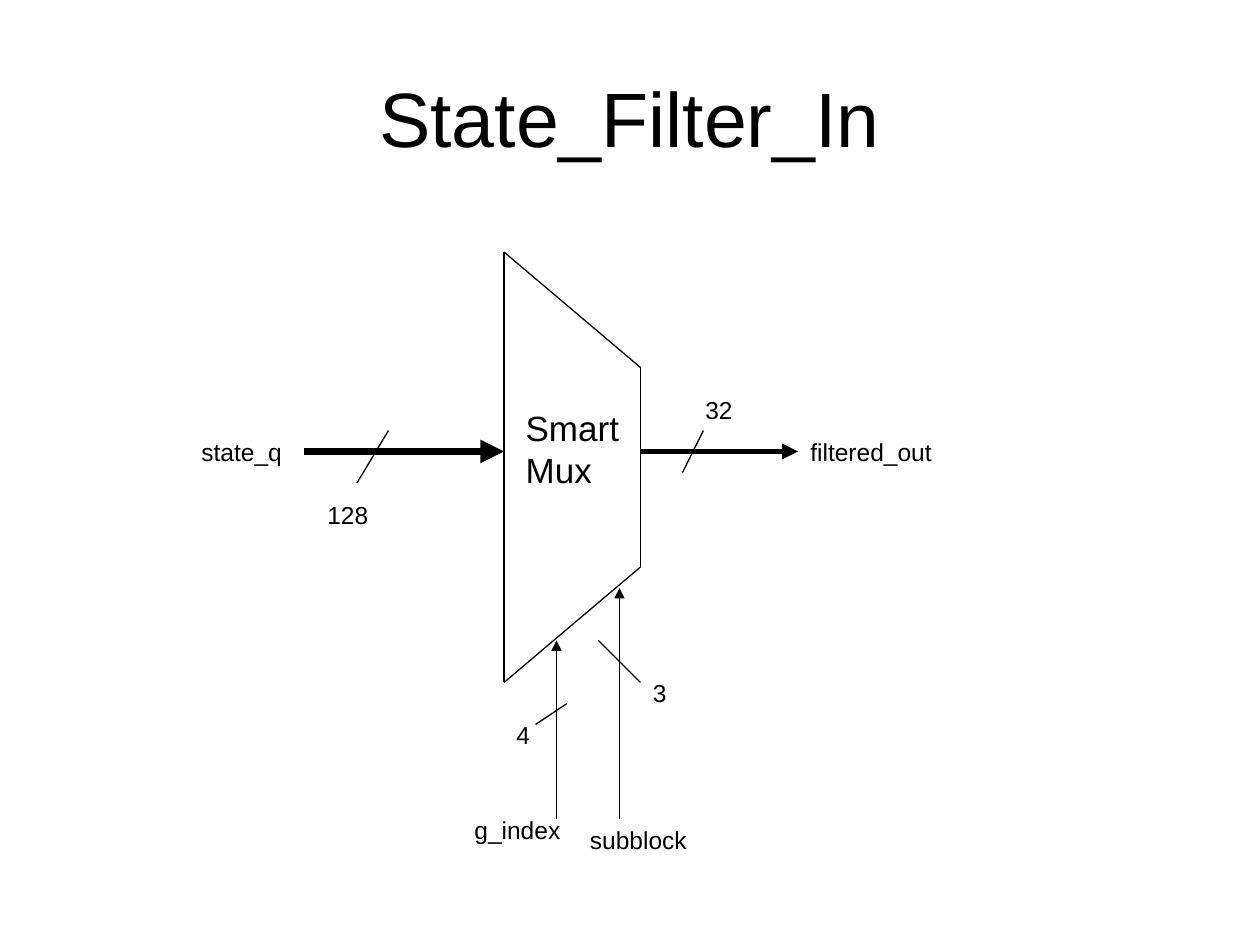
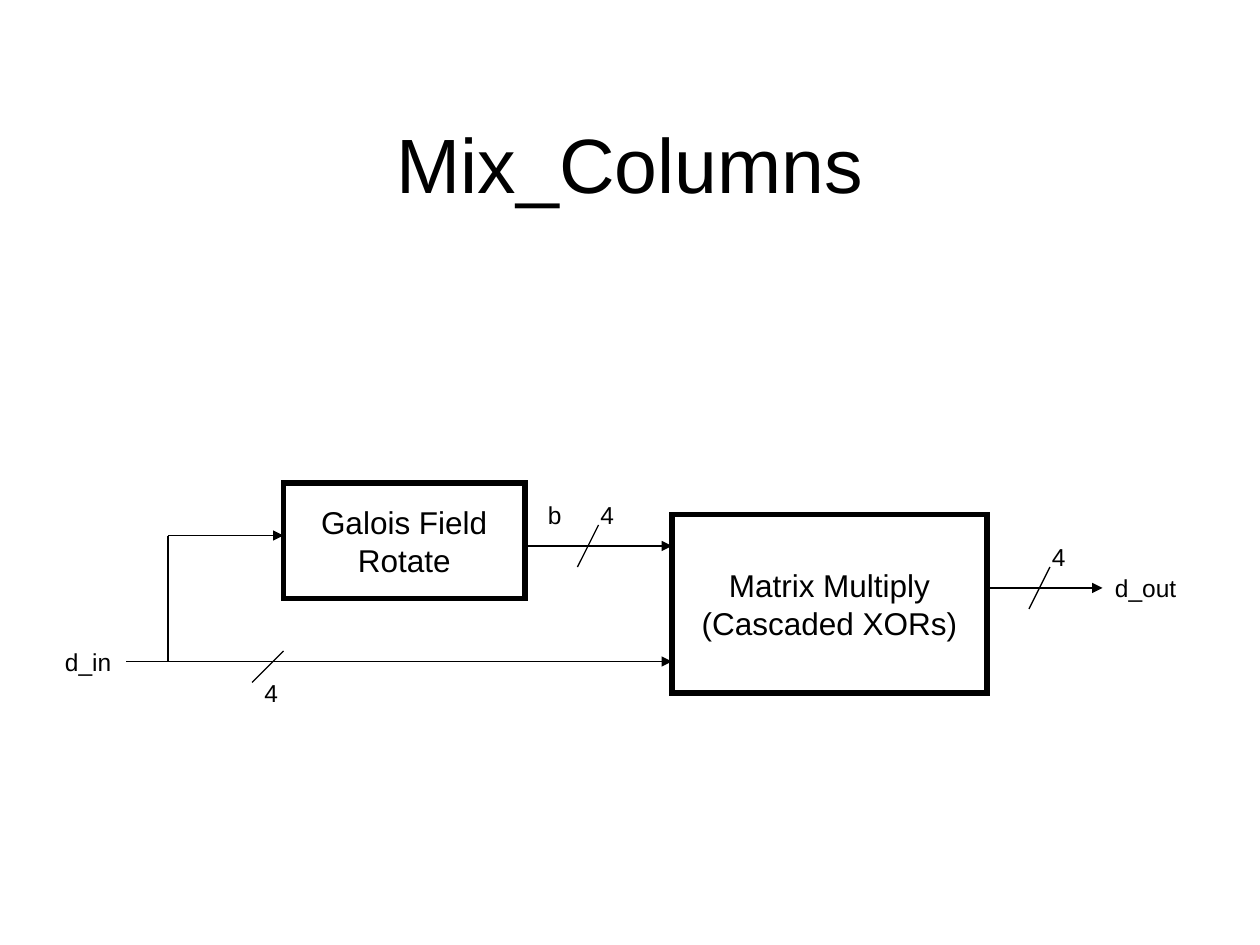
from dataclasses import dataclass

from lxml.etree import SubElement
from pptx import Presentation
from pptx.dml.color import RGBColor
from pptx.enum.shapes import MSO_CONNECTOR as Conn, MSO_SHAPE as Shape
from pptx.enum.text import MSO_ANCHOR as Anchor, PP_ALIGN as Align
from pptx.oxml.ns import qn
from pptx.slide import Slide
from pptx.text.text import TextFrame
from pptx.util import Emu, Pt

EMU_PER_PX = 9525
BLACK, WHITE = "000000", "FFFFFF"
FONT = "Arial"
THIN, BOLD, HEAVY = 0.75, 3, 4.5
LABEL_H = 33


@dataclass(frozen=True)
class Wire:
    x1: int
    y1: int
    x2: int
    y2: int
    width: float = THIN
    arrow: bool = False


@dataclass(frozen=True)
class Label:
    text: str
    x: int
    y: int
    w: int
    h: int = LABEL_H
    size: int = 14
    align: Align = Align.LEFT
    anchor: Anchor = Anchor.TOP


@dataclass(frozen=True)
class Block:
    text: str
    x: int
    y: int
    w: int
    h: int


@dataclass(frozen=True)
class Diagram:
    title: str
    title_y: int
    blocks: list[Block]
    wires: list[Wire]
    labels: list[Label]


def px(n: int) -> Emu:
    return Emu(n * EMU_PER_PX)


def rgb(code: str) -> RGBColor:
    return RGBColor.from_string(code)


def write(tf: TextFrame, text: str, size: int, align: Align,
          anchor: Anchor, wrap: bool) -> None:
    tf.text = text
    for name, value in {"word_wrap": wrap, "vertical_anchor": anchor}.items():
        setattr(tf, name, value)
    for p in tf.paragraphs:
        p.alignment = align
        for r in p.runs:
            for name, value in {"name": FONT, "size": Pt(size)}.items():
                setattr(r.font, name, value)
            r.font.color.rgb = rgb(BLACK)


def add_label(s: Slide, label: Label) -> None:
    sp = s.shapes.add_textbox(*map(px, (label.x, label.y, label.w, label.h)))
    write(sp.text_frame, label.text, label.size, label.align,
          label.anchor, True)


def add_block(s: Slide, block: Block) -> None:
    sp = s.shapes.add_shape(
        Shape.RECTANGLE, *map(px, (block.x, block.y, block.w, block.h)))
    sp.shadow.inherit = False
    sp.fill.solid()
    sp.fill.fore_color.rgb = rgb(WHITE)
    sp.line.color.rgb = rgb(BLACK)
    sp.line.width = Pt(BOLD)
    SubElement(sp._element.spPr.find(qn("a:ln")), qn("a:miter"), lim="800000")
    write(sp.text_frame, block.text, 18, Align.CENTER, Anchor.MIDDLE, False)


def add_wire(s: Slide, wire: Wire) -> None:
    ends = (wire.x1, wire.y1, wire.x2, wire.y2)
    sp = s.shapes.add_connector(Conn.STRAIGHT, *map(px, ends))
    sp.line.color.rgb = rgb(BLACK)
    sp.line.width = Pt(wire.width)
    props = sp._element.spPr
    if wire.arrow:
        SubElement(props.find(qn("a:ln")), qn("a:tailEnd"), type="triangle")
    SubElement(props, qn("a:effectLst"))


def add_diagram(s: Slide, diagram: Diagram) -> None:
    add_label(s, Label(diagram.title, 48, diagram.title_y, 864, 120, 44,
                       Align.CENTER, Anchor.MIDDLE))
    for block in diagram.blocks:
        add_block(s, block)
    for wire in diagram.wires:
        add_wire(s, wire)
    for label in diagram.labels:
        add_label(s, label)


MUX_CORNERS = [(384, 192), (384, 520), (488, 432), (488, 280)]
MUX_SIDES = [Wire(*a, *b)
             for a, b in zip(MUX_CORNERS, MUX_CORNERS[1:] + MUX_CORNERS[:1])]

STATE_FILTER = Diagram(
    "State_Filter_In", 29, [],
    MUX_SIDES + [
        Wire(232, 344, 384, 344, HEAVY, True),
        Wire(296, 328, 272, 368),
        Wire(424, 624, 424, 488, arrow=True),
        Wire(472, 624, 472, 448, arrow=True),
        Wire(432, 536, 408, 552),
        Wire(456, 488, 488, 520),
        Wire(488, 344, 608, 344, BOLD, True),
        Wire(536, 328, 520, 360),
    ],
    [
        Label("Smart\nMux", 391, 305, 94, 74, 20),
        Label("state_q", 144, 328, 120),
        Label("128", 240, 376, 56),
        Label("g_index", 352, 616, 120),
        Label("4", 384, 544, 32),
        Label("subblock", 440, 624, 168),
        Label("3", 488, 512, 32),
        Label("32", 528, 296, 40),
        Label("filtered_out", 608, 328, 152),
    ],
)

MIX_COLUMNS = Diagram(
    "Mix_Columns", 64,
    [
        Block("Galois Field\nRotate", 216, 368, 184, 88),
        Block("Matrix Multiply\n(Cascaded XORs)", 512, 392, 240, 136),
    ],
    [
        Wire(96, 504, 512, 504, arrow=True),
        Wire(128, 504, 128, 408),
        Wire(128, 408, 216, 408, arrow=True),
        Wire(400, 416, 512, 416, arrow=True),
        Wire(752, 448, 840, 448, arrow=True),
        Wire(216, 496, 192, 520),
        Wire(456, 400, 440, 432),
        Wire(800, 432, 784, 464),
    ],
    [
        Label("4", 192, 512, 40),
        Label("4", 792, 408, 40),
        Label("4", 448, 376, 40),
        Label("b", 408, 376, 40),
        Label("d_in", 40, 488, 72),
        Label("d_out", 840, 432, 72),
    ],
)


def main() -> None:
    prs = Presentation()
    for name, value in {"slide_width": 960, "slide_height": 720}.items():
        setattr(prs, name, px(value))
    for diagram in (STATE_FILTER, MIX_COLUMNS):
        add_diagram(prs.slides.add_slide(prs.slide_layouts[6]), diagram)
    prs.save("out.pptx")


if __name__ == "__main__":
    main()
